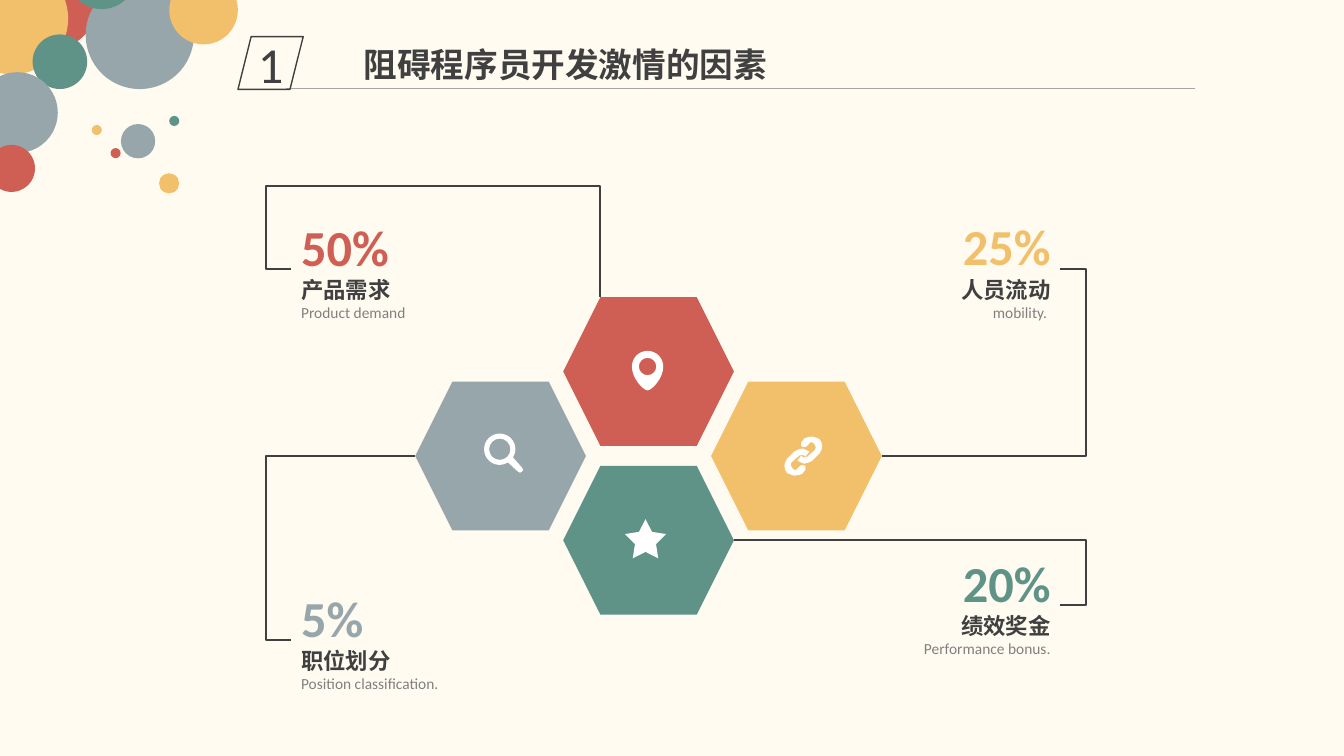
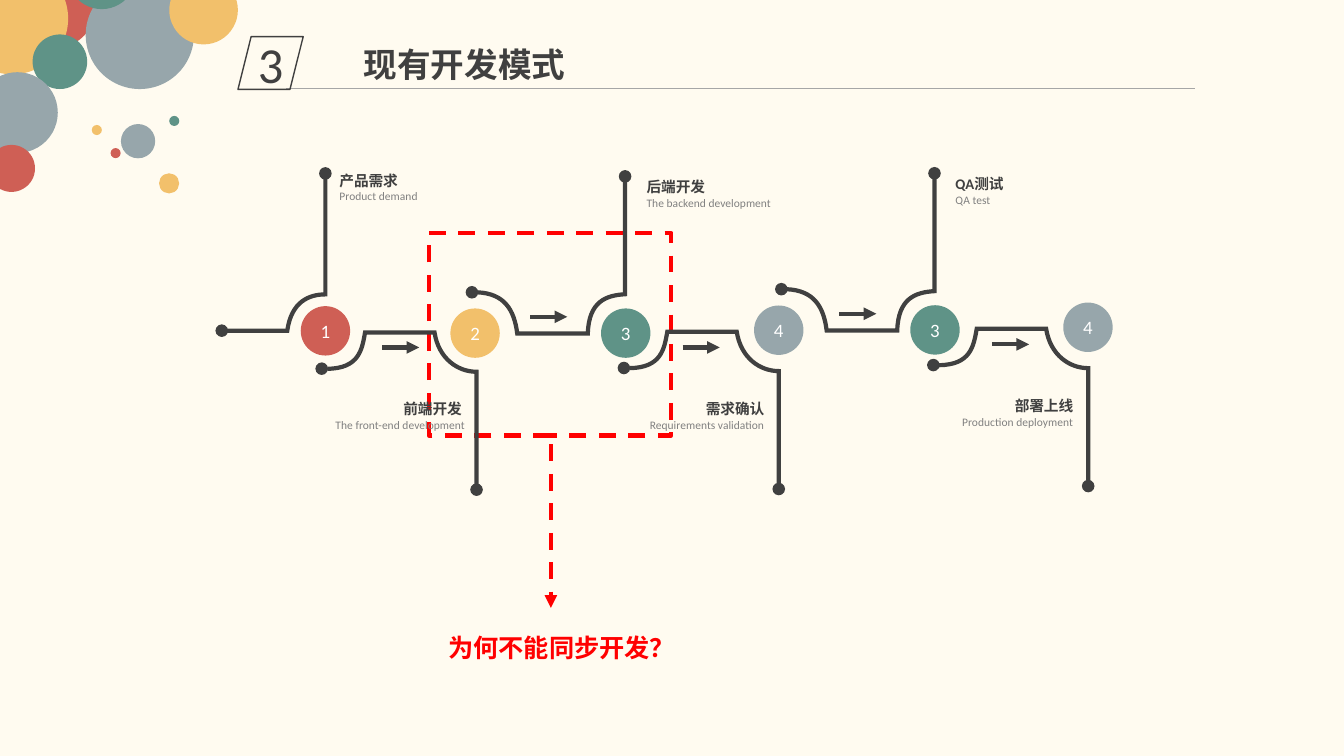
from dataclasses import dataclass
from math import cos, pi, sin
from typing import Any, Optional

from lxml import etree
from pptx import Presentation
from pptx import slide as sl
from pptx.dml import color
from pptx.enum import dml, shapes, text
from pptx.oxml import ns
from pptx.util import Pt

RGB = color.RGBColor
SHAPE = shapes.MSO_SHAPE
LEFT, CENTER, RIGHT = text.PP_ALIGN.LEFT, text.PP_ALIGN.CENTER, text.PP_ALIGN.RIGHT
Point = tuple[float, float]
Segment = tuple[Point, ...]  # one point: straight line; three points: cubic curve
Contour = tuple[Segment, ...]  # the first segment is the starting point


@dataclass(frozen=True)
class Theme:
    paper: RGB = RGB.from_string("FFFBF0")
    ink: RGB = RGB.from_string("404040")
    muted: RGB = RGB.from_string("808080")
    rule: RGB = RGB.from_string("A6A6A6")
    white: RGB = RGB.from_string("FFFFFF")
    alert: RGB = RGB.from_string("FF0000")
    red: RGB = RGB.from_string("CF5F55")
    green: RGB = RGB.from_string("5F9387")
    gray: RGB = RGB.from_string("97A6AB")
    yellow: RGB = RGB.from_string("F2C06B")
    latin: str = "Calibri"
    cjk: str = "Noto Sans CJK SC"
    big: float = 36
    title: float = 24
    question: float = 18
    name: float = 16
    badge: float = 13.5
    detail: float = 11
    step: float = 10.5
    small: float = 8.25


T = Theme()


@dataclass(frozen=True)
class Bubble:
    left: float
    top: float
    size: float
    fill: RGB


@dataclass(frozen=True)
class Factor:
    share: str
    name: str
    english: str
    fill: RGB
    hexagon: Point
    label: Point
    align: Any
    route: tuple[Point, Point]
    turn_x: float
    turn_y: Optional[float] = None


@dataclass(frozen=True)
class Step:
    number: str
    name: str
    english: str
    fill: RGB
    track: Contour
    start: Point
    badge: Point
    label: Point
    align: Any
    arrow: Optional[Point] = None


BUBBLES = (
    Bubble(2.9, -31.7, 67, T.red), Bubble(-31, -26.6, 79.7, T.yellow),
    Bubble(23.3, 24.6, 39, T.green), Bubble(-16.4, 51.6, 57.7, T.gray),
    Bubble(61.2, -13.7, 77.3, T.gray), Bubble(48.2, -42.5, 49, T.green),
    Bubble(-8.6, 103.5, 33.6, T.red), Bubble(86.4, 88.6, 24.5, T.gray),
    Bubble(79, 105.8, 7.2, T.red), Bubble(65.6, 89.3, 7.2, T.yellow),
    Bubble(120.9, 82.8, 7.2, T.green), Bubble(113.6, 123.8, 14.4, T.yellow),
    Bubble(120.9, -17.3, 49, T.yellow),
)

FACTORS = (
    Factor("50%", "产品需求", "Product demand", T.red, (402.3, 212.3), (208, 150.5), LEFT,
           ((208, 192.2), (428.4, 212.4)), 190, 132.8),
    Factor("20%", "绩效奖金", "Performance bonus.", T.green, (402.3, 332.8), (577.6, 390.6), RIGHT,
           ((524.2, 385.9), (757.4, 432)), 775.5),
    Factor("5%", "职位划分", "Position classification.", T.gray, (296.6, 272.6), (208, 415.6), LEFT,
           ((296.6, 325.7), (208, 457.2)), 190),
    Factor("25%", "人员流动", "mobility. ", T.yellow, (507.9, 272.6), (577.6, 150.3), RIGHT,
           ((630, 325.7), (757.4, 192.2)), 775.5),
)

OPENING = (((0, 0),), ((46.8, 0),), ((49.7, -20.9), (62.6, -25.9), (74, -25.9)), ((74, -112.3),))
DIP = (((0, 0),), ((26.6, 1.4), (28.8, -13.7), (31, -25.9)), ((80.6, -25.9),),
       ((83.5, -7.2), (97.2, 2.2), (110.6, 2.2)), ((110.6, 86.4),))
RISE = (((0, 0),), ((22, -0.7), (30.2, 12.2), (32.4, 29.5)), ((82.8, 29.5),),
        ((83.5, 6.5), (95.8, 2.2), (109.4, 1.4)), ((109.4, -82.8),))

STEPS = (
    Step("1", "产品需求", "Product demand", T.red, OPENING, (158.4, 236.2),
         (214.8, 218.7), (235.4, 119.1), LEFT),
    Step("2", "前端开发 ", "The front-end development", T.yellow, DIP, (229.8, 263.4),
         (321.7, 220.3), (141.3, 282.2), RIGHT, (272.9, 248.2)),
    Step("3", "后端开发", "The backend development", T.green, RISE, (337.1, 208.8),
         (429.3, 220.3), (454.8, 123.8), LEFT, (378.7, 226.3)),
    Step("4", "需求确认", "Requirements validation", T.gray, DIP, (445.7, 262.9),
         (538.6, 218.2), (355, 282.2), RIGHT, (487.6, 248.2)),
    Step("3", "QA测试", "QA test", T.green, RISE, (558.1, 206.6),
         (650.2, 218), (675.4, 121.7), LEFT, (599.5, 224.1)),
    Step("4", "部署上线", "Production deployment", T.gray, DIP, (666.7, 260.8),
         (759.5, 216.1), (575.7, 280), RIGHT, (708.6, 246)),
)

# Outline in points around the centre of the icon.
LINK_HALF = (
    (6.5, -14), (8.6, -13.3), (11.5, -12.2), (13, -9.7), (13.5, -6.8), (13, -4.5), (11.5, -1.8),
    (6.5, 3.2), (3.6, 4.7), (0.7, 5.4), (-1.4, 4.7), (-4.3, 3.2), (-1.4, -0.4), (-0.7, 0.4),
    (0.7, 1), (2.9, 0.4), (8.6, -4.7), (8.8, -7), (7.2, -9.5), (5, -9.9), (4.3, -9),
    (2.2, -6.8), (0.7, -6.5), (-1.4, -6.8), (-1.6, -9.5), (0.7, -12.6), (3.6, -13.6),
)


def polygon(points: Any) -> Contour:
    return tuple((p,) for p in points)


def quarters(radius: float, start: float, count: int, turn: int = 1) -> Contour:
    """Quarter circles from an angle; turn=-1 runs them anticlockwise."""
    bend = 0.5523 * radius * turn
    curves: list[Segment] = [((radius * cos(start), radius * sin(start)),)]
    for i in range(count):
        a, b = start + turn * pi / 2 * i, start + turn * pi / 2 * (i + 1)
        x, y = radius * cos(b), radius * sin(b)
        curves.append(((radius * cos(a) - bend * sin(a), radius * sin(a) + bend * cos(a)),
                       (x + bend * sin(b), y - bend * cos(b)), (x, y)))
    return tuple(curves)


def write(frame: Any, content: str, *, size: float, ink: RGB, font: str = T.latin,
          bold: bool = False, align: Any = LEFT, first: bool = True) -> None:
    """Put one formatted paragraph in a frame; first=False adds it below the others."""
    paragraph = frame.paragraphs[0] if first else frame.add_paragraph()
    paragraph.alignment = align
    run = paragraph.add_run()
    run.text = content
    run.font.size, run.font.bold, run.font.name = Pt(size), bold, font
    run.font.color.rgb = ink
    east_asian = etree.SubElement(run.font._element, ns.qn("a:ea"))
    east_asian.set("typeface", T.cjk)


def text_frame(slide: sl.Slide, at: Point, width: float, height: float, wrap: bool = True) -> Any:
    frame = slide.shapes.add_textbox(Pt(at[0]), Pt(at[1]), Pt(width), Pt(height)).text_frame
    frame.word_wrap = wrap
    return frame


def style(shape: Any, fill: Optional[RGB] = None, line: Optional[RGB] = None,
          weight: float = 1) -> None:
    shape.shadow.inherit = False
    if fill is None:
        shape.fill.background()
    else:
        shape.fill.solid()
        shape.fill.fore_color.rgb = fill
    if line is None:
        shape.line.fill.background()
    else:
        shape.line.color.rgb = line
        shape.line.width = Pt(weight)


def preset(tree: Any, kind: Any, at: Point, width: float, height: float, **look: Any) -> Any:
    shape = tree.add_shape(kind, Pt(at[0]), Pt(at[1]), Pt(width), Pt(height))
    style(shape, **look)
    return shape


def centred(shape: Any, content: str, size: float, ink: RGB, drop: float = 0) -> None:
    frame = shape.text_frame
    frame.word_wrap = False
    frame.margin_left = frame.margin_right = frame.margin_bottom = 0
    frame.margin_top = Pt(drop)
    frame.vertical_anchor = text.MSO_ANCHOR.MIDDLE
    write(frame, content, size=size, ink=ink, align=CENTER)


def line_ends(shape: Any, **ends: str) -> None:
    """Set mitred corners, then headEnd and tailEnd in that order."""
    line = shape.line._get_or_add_ln()
    etree.SubElement(line, ns.qn("a:miter")).set("lim", "800000")
    for end, kind in ends.items():
        etree.SubElement(line, ns.qn(f"a:{end}")).set("type", kind)


def connect(slide: sl.Slide, start: Point, end: Point, ink: RGB, weight: float,
            elbow: bool = False, dashed: bool = False, arrow: bool = False) -> Any:
    kind = shapes.MSO_CONNECTOR.ELBOW if elbow else shapes.MSO_CONNECTOR.STRAIGHT
    line = slide.shapes.add_connector(kind, *(Pt(v) for v in (*start, *end)))
    line.line.color.rgb = ink
    line.line.width = Pt(weight)
    if dashed:
        line.line.dash_style = dml.MSO_LINE.DASH
    if arrow:
        line_ends(line, tailEnd="triangle")
    etree.SubElement(line._element.spPr, ns.qn("a:effectLst"))
    return line


def route(slide: sl.Slide, factor: Factor) -> None:
    """Elbow line that turns at turn_x, and also at turn_y when that is given."""
    (x1, y1), (x2, y2) = factor.route
    line = connect(slide, (x1, y1), (x2, y2), T.ink, 1.5, elbow=True)
    turns = [(factor.turn_x - x1) / (x2 - x1)]
    if factor.turn_y is not None:
        turns.append((factor.turn_y - y1) / (y2 - y1))
    geometry = line._element.spPr.find(ns.qn("a:prstGeom"))
    geometry.set("prst", f"bentConnector{2 + len(turns)}")
    guides = geometry.find(ns.qn("a:avLst"))
    if guides is None:
        guides = etree.SubElement(geometry, ns.qn("a:avLst"))
    for i, turn in enumerate(turns, 1):
        guide = etree.SubElement(guides, ns.qn("a:gd"))
        guide.set("name", f"adj{i}")
        guide.set("fmla", f"val {round(turn * 100000)}")


def outline(slide: sl.Slide, origin: Point, *contours: Contour, closed: bool = True) -> Any:
    """Freeform of lines and cubic curves, with points given from the origin."""
    def place(point: Point) -> Point:
        return Pt(origin[0] + point[0]), Pt(origin[1] + point[1])

    builder = slide.shapes.build_freeform(*place(contours[0][0][0]), scale=1.0)
    for i, (start, *rest) in enumerate(contours):
        if i:
            builder.move_to(*place(start[0]))
        builder.add_line_segments([place(p) for s in rest for p in s], close=closed)
    shape = builder.convert_to_shape()
    lines = iter(list(shape._element.iter(ns.qn("a:lnTo"))))
    for segment in (s for contour in contours for s in contour[1:]):
        knots = [next(lines) for _ in segment]
        if len(knots) == 3:
            curve = etree.Element(ns.qn("a:cubicBezTo"))
            knots[0].addprevious(curve)
            for knot in knots:
                curve.append(knot[0])
                knot.getparent().remove(knot)
    return shape


def new_slide(deck: Any) -> sl.Slide:
    slide = deck.slides.add_slide(deck.slide_layouts[6])
    slide.background.fill.solid()
    slide.background.fill.fore_color.rgb = T.paper
    return slide


def header(slide: sl.Slide, number: str, title: str) -> None:
    group = slide.shapes.add_group_shape()
    for b in BUBBLES:
        preset(group.shapes, SHAPE.OVAL, (b.left, b.top), b.size, b.size, fill=b.fill)
    connect(slide, (204.5, 63.2), (853.5, 63.2), T.rule, 0.5)
    frame = preset(slide.shapes, SHAPE.PARALLELOGRAM, (170, 26.2), 46.6, 37.7, line=T.ink)
    centred(frame, number, T.big, T.ink, drop=1)
    write(text_frame(slide, (252.7, 27.8), 369.4, 36), title,
          size=T.title, ink=T.ink, font=T.cjk, bold=True)


def icons(slide: sl.Slide) -> None:
    handle = polygon([(15.8, 13), (16.8, 14.5), (16, 16), (14.5, 16.8), (13, 16)])
    rim = ((((5.8, 9.4),), ((4, 10.6), (2, 11.2), (0, 11.2))) + quarters(11.2, pi / 2, 3)[1:]
           + (((11.2, 2), (10.6, 4), (9.4, 5.8)),) + handle)
    lens = outline(slide, (357, 320.9), rim, quarters(7.6, 0, 4, -1))
    half_turn = [(-x, -y) for x, y in LINK_HALF]
    link = outline(slide, (573.8, 325.8), polygon(LINK_HALF), polygon(half_turn))
    drop = quarters(11.2, pi, 2) + (((11.2, 8.5), (3, 17), (0, 17)),
                                    ((-3, 17), (-11.2, 8.5), (-11.2, 0)))
    pin = outline(slide, (462.6, 261.8), drop, quarters(6.2, 0, 4, -1))
    rays = [(r * sin(i * pi / 5), -r * cos(i * pi / 5)) for i, r in enumerate((15.5, 7.9) * 5)]
    star = outline(slide, (461.1, 386.3), polygon(rays))
    for icon in (lens, link, pin, star):
        style(icon, fill=T.white)


def factors_slide(deck: Any) -> None:
    slide = new_slide(deck)
    for f in FACTORS:
        preset(slide.shapes, SHAPE.HEXAGON, f.hexagon, 122, 106.2, fill=f.fill)
        frame = text_frame(slide, f.label, 180, 83.5)
        write(frame, f.share, size=T.big, ink=f.fill, bold=True, align=f.align)
        write(frame, f.name, size=T.name, ink=T.ink, font=T.cjk, bold=True, align=f.align, first=False)
        write(frame, f.english, size=T.detail, ink=T.muted, align=f.align, first=False)
        route(slide, f)
    icons(slide)
    header(slide, "1", "阻碍程序员开发激情的因素")


def process_slide(deck: Any) -> None:
    slide = new_slide(deck)
    focus = preset(slide.shapes, SHAPE.RECTANGLE, (306.4, 166.4), 173.2, 144.7, line=T.alert, weight=3)
    focus.line.dash_style = dml.MSO_LINE.DASH
    for s in STEPS:
        track = outline(slide, s.start, s.track, closed=False)
        style(track, line=T.ink, weight=3)
        line_ends(track, headEnd="oval", tailEnd="oval")
        if s.arrow:
            x, y = s.arrow
            connect(slide, (x, y), (x + 26.5, y), T.ink, 3, arrow=True)
        badge = preset(slide.shapes, SHAPE.OVAL, s.badge, 35.3, 35.3, fill=s.fill)
        centred(badge, s.number, T.badge, T.white)
        frame = text_frame(slide, s.label, 198, 31)
        write(frame, s.name, size=T.step, ink=T.ink, bold=True, align=s.align)
        write(frame, s.english, size=T.small, ink=T.muted, align=s.align, first=False)
    connect(slide, (393.5, 317.5), (393.5, 434.2), T.alert, 3, dashed=True, arrow=True)
    write(text_frame(slide, (313.2, 447.8), 177.8, 28.8, wrap=False), "为何不能同步开发？",
          size=T.question, ink=T.alert, font=T.cjk, bold=True)
    header(slide, "3", "现有开发模式")


def main() -> None:
    deck = Presentation()
    deck.slide_width, deck.slide_height = Pt(960), Pt(540)
    factors_slide(deck)
    process_slide(deck)
    deck.save("out.pptx")


if __name__ == "__main__":
    main()
